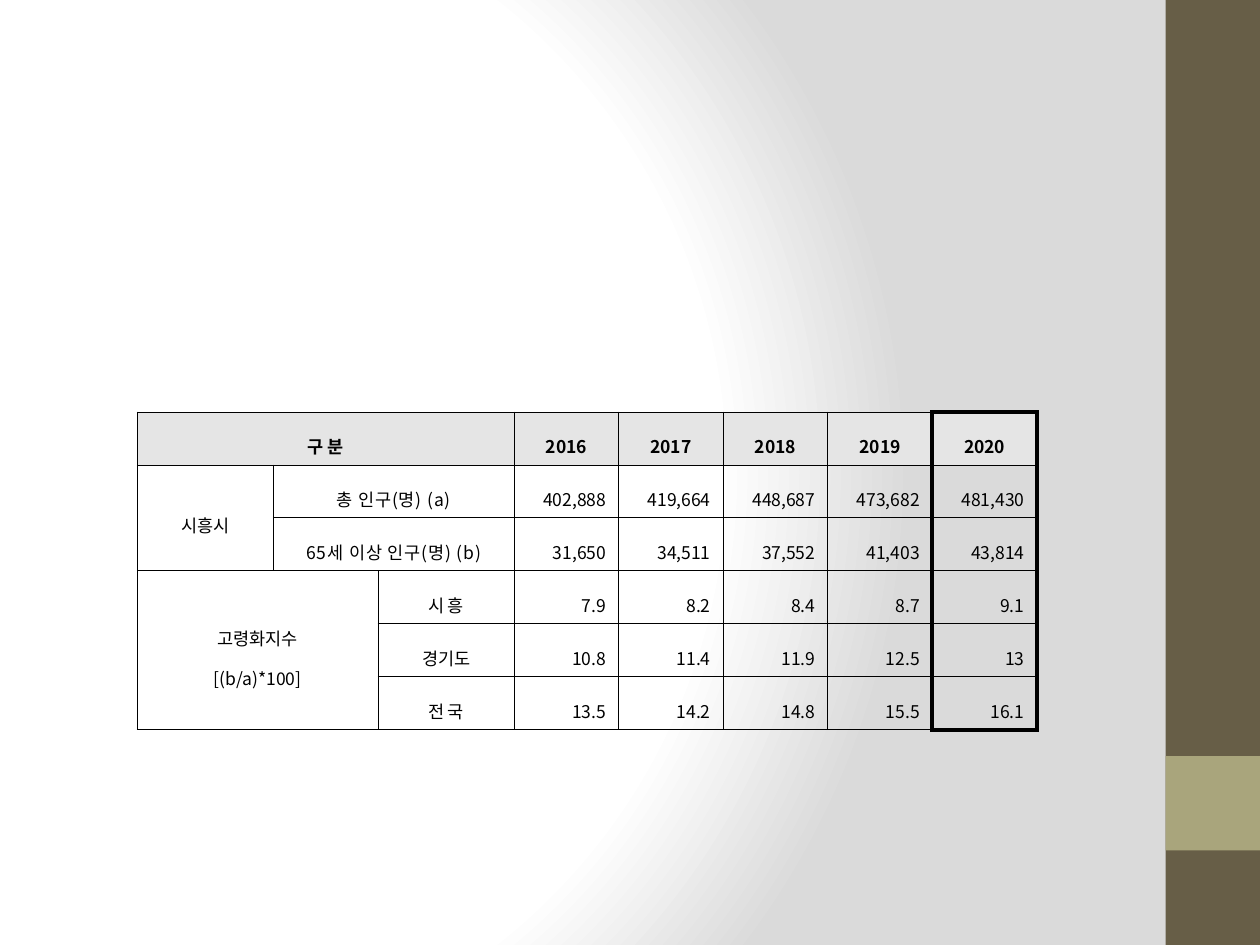
from dataclasses import dataclass

import pptx
import pptx.dml.color
import pptx.enum.shapes
import pptx.enum.text
import pptx.oxml
import pptx.oxml.ns
import pptx.util
from lxml import etree
from pptx.dml.color import RGBColor
from pptx.util import Inches, Pt

BLACK = RGBColor(0x00, 0x00, 0x00)
HEADER_GREY = RGBColor(0xE5, 0xE5, 0xE5)
BAND_BROWN = RGBColor(0x67, 0x5E, 0x47)
BAND_OLIVE = RGBColor(0xA9, 0xA5, 0x7C)
WHITE = RGBColor(0xFF, 0xFF, 0xFF)
EDGE_GREY = RGBColor(0xDA, 0xDA, 0xDA)

HANGUL_RUN_FONT = "Calibri"
PLAIN_FONT = "Noto Sans CJK KR"
THIN, THICK = Pt(0.56), Pt(2.55)
CENTER = pptx.enum.text.PP_ALIGN.CENTER
RIGHT = pptx.enum.text.PP_ALIGN.RIGHT

COLUMN_WIDTHS = (1.08, 0.83, 1.08) + (0.83,) * 5
ROW_HEIGHTS = (0.31, 0.22, 0.22, 0.23, 0.18, 0.18)
FIRST_YEAR_COLUMN = 3
YEARS = ("2016", "2017", "2018", "2019", "2020")
VALUES = (
    ("402,888", "419,664", "448,687", "473,682", "481,430"),
    ("31,650", "34,511", "37,552", "41,403", "43,814"),
    ("7.9", "8.2", "8.4", "8.7", "9.1"),
    ("10.8", "11.4", "11.9", "12.5", "13"),
    ("13.5", "14.2", "14.8", "15.5", "16.1"),
)


@dataclass(frozen=True)
class Band:
    top: float
    height: float
    color: RGBColor


@dataclass(frozen=True)
class Label:
    """A heading cell; each paragraph is a tuple of spans."""
    row: int
    column: int
    paragraphs: tuple[tuple[str, ...], ...]
    rows: int = 1
    columns: int = 1
    bold: bool = False
    spacing: float = 0


BANDS = (Band(0, 7.5, BAND_BROWN), Band(6, 0.75, BAND_OLIVE))
LABELS = (
    Label(0, 0, (("구 분",),), columns=3, bold=True),
    Label(1, 0, (("시흥시",),), rows=2),
    Label(1, 1, (("총 인구", "(", "명", ") (a)"),), columns=2, spacing=0.5),
    Label(2, 1, (("65", "세 이상 인구", "(", "명", ") (b)"),), columns=2, spacing=0.5),
    Label(3, 0, (("고령화지수",), ("[(b/a)*100]",)), rows=3, columns=2),
    Label(3, 2, (("시 흥",),)),
    Label(4, 2, (("경기도",),)),
    Label(5, 2, (("전 국",),)),
)


def set_background(page: pptx.slide.Slide) -> None:
    """Put a circular gradient behind the page."""
    stops = "".join(
        f'<a:gs pos="{position * 1000}"><a:srgbClr val="{color}"/></a:gs>'
        for position, color in ((0, WHITE), (75, WHITE), (100, EDGE_GREY))
    )
    background = pptx.oxml.parse_xml(
        f'<p:bg {pptx.oxml.ns.nsdecls("p", "a")}><p:bgPr><a:gradFill rotWithShape="1">'
        f'<a:gsLst>{stops}</a:gsLst><a:path path="circle">'
        '<a:fillToRect l="20000" t="50000" r="100000" b="50000"/></a:path>'
        "</a:gradFill><a:effectLst/></p:bgPr></p:bg>"
    )
    page.element.cSld.insert(0, background)


def draw_band(page: pptx.slide.Slide, band: Band) -> None:
    shape = page.shapes.add_shape(
        pptx.enum.shapes.MSO_SHAPE.RECTANGLE,
        Inches(9.25), Inches(band.top), Inches(0.75), Inches(band.height),
    )
    shape.shadow.inherit = False
    shape.fill.solid()
    shape.fill.fore_color.rgb = band.color
    shape.line.fill.background()


def add_span(para, text: str, bold: bool, spacing: float) -> None:
    span = para.add_run()
    span.text = text
    has_hangul = any("가" <= letter <= "힣" for letter in text)
    font_format = {
        "name": HANGUL_RUN_FONT if has_hangul else PLAIN_FONT,
        "size": Pt(10),
        "bold": bold,
    }
    for name, value in font_format.items():
        setattr(span.font, name, value)
    span.font.color.rgb = BLACK
    properties = span.font._element
    if spacing:
        properties.set("spc", str(round(spacing * 100)))
    east_asian = etree.SubElement(properties, pptx.oxml.ns.qn("a:ea"))
    east_asian.set("typeface", PLAIN_FONT)


def write_cell(cell, paragraphs, align, bold: bool = False, spacing: float = 0) -> None:
    frame = cell.text_frame
    for index, spans in enumerate(paragraphs):
        para = frame.add_paragraph() if index else frame.paragraphs[0]
        para.alignment = align
        para.line_spacing = 1.6
        for text in spans:
            add_span(para, text, bold, spacing)


def style_cell(cell, row: int, column: int) -> None:
    """Set borders and fill; the last year has a thick frame."""
    last_row, last_column = len(ROW_HEIGHTS) - 1, len(COLUMN_WIDTHS) - 1
    newest = column == last_column
    thick_sides = {
        "lnL": newest,
        "lnR": column >= last_column - 1,
        "lnT": newest and row == 0,
        "lnB": newest and row == last_row,
    }
    cell.vertical_anchor = pptx.enum.text.MSO_ANCHOR.MIDDLE
    properties = cell._tc.get_or_add_tcPr()
    for side, thick in thick_sides.items():
        properties.append(pptx.oxml.parse_xml(
            f'<a:{side} {pptx.oxml.ns.nsdecls("a")} w="{THICK if thick else THIN}">'
            f'<a:solidFill><a:srgbClr val="{BLACK}"/></a:solidFill></a:{side}>'
        ))
    if row == 0:
        cell.fill.solid()
        cell.fill.fore_color.rgb = HEADER_GREY
    else:
        cell.fill.background()


def draw_population_table(page: pptx.slide.Slide) -> None:
    frame = page.shapes.add_table(
        len(ROW_HEIGHTS), len(COLUMN_WIDTHS),
        Inches(1.09), Inches(3.27), Inches(7.14), Inches(2.01),
    )
    table = frame.table
    for name in ("first_row", "horz_banding"):
        setattr(table, name, False)
    for column, width in zip(table.columns, COLUMN_WIDTHS):
        column.width = Inches(width)
    for row, height in zip(table.rows, ROW_HEIGHTS):
        row.height = Inches(height)
    frame.height = Inches(2.01)

    for row in range(len(ROW_HEIGHTS)):
        for column in range(len(COLUMN_WIDTHS)):
            style_cell(table.cell(row, column), row, column)
    for label in LABELS:
        cell = table.cell(label.row, label.column)
        if label.rows * label.columns > 1:
            cell.merge(table.cell(label.row + label.rows - 1,
                                  label.column + label.columns - 1))
        write_cell(cell, label.paragraphs, CENTER, label.bold, label.spacing)
    for row, texts in enumerate((YEARS, *VALUES)):
        for column, text in enumerate(texts, FIRST_YEAR_COLUMN):
            write_cell(table.cell(row, column), ((text,),),
                       RIGHT if row else CENTER, bold=row == 0)


def main() -> None:
    deck = pptx.Presentation()
    deck.slide_width, deck.slide_height = Inches(10), Inches(7.5)
    page = deck.slides.add_slide(deck.slide_layouts[6])
    set_background(page)
    for band in BANDS:
        draw_band(page, band)
    draw_population_table(page)
    deck.save("out.pptx")


if __name__ == "__main__":
    main()
